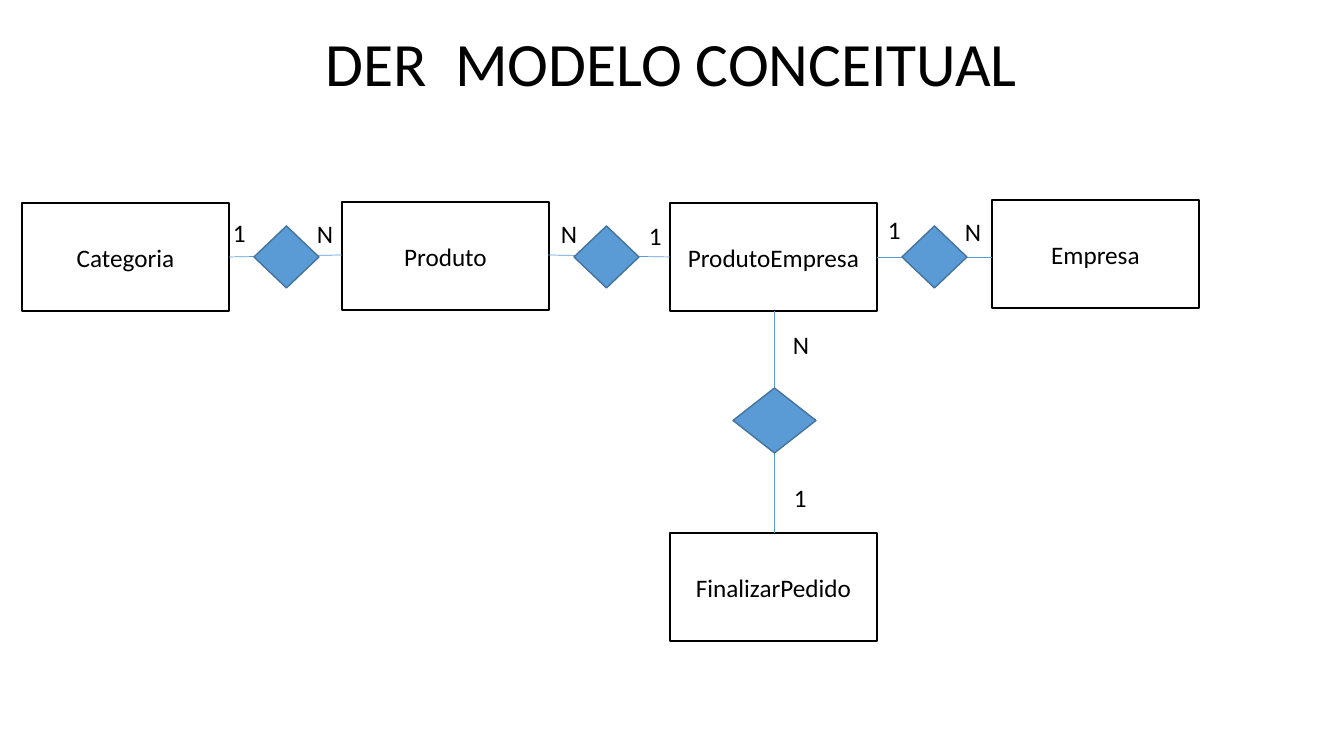
from pptx import Presentation
from pptx.dml.color import RGBColor as RGB
from pptx.enum.shapes import MSO_CONNECTOR as LINK, MSO_SHAPE as SHAPE
from pptx.enum.text import MSO_ANCHOR as ANCHOR, MSO_AUTO_SIZE as FIT, PP_ALIGN as ALIGN
from pptx.oxml.ns import qn
from pptx.util import Emu, Pt
from lxml.etree import SubElement

SCALE = 914400 / 100.8
COLORS = {"black": "000000", "white": "FFFFFF", "blue": "5B9BD5", "edge": "43739E"}
BOX_W, BOX_H = 207, 108
GEM_W, GEM_H = 65, 62
ROW_Y = 257
MID_X = 774

ENTITIES = [  # name, left, top
    ("Produto", 342, 202),
    ("Empresa", 992, 200),
    ("FinalizarPedido", 670, 533),
    ("Categoria", 22, 203),
    ("ProdutoEmpresa", 670, 203),
]
LINKS = [  # from x, y, to x, y
    (229, ROW_Y, 342, 255),
    (548, 255, 670, ROW_Y),
    (877, ROW_Y, 992, ROW_Y),
    (MID_X, 388, MID_X, 311),
    (MID_X, 453, MID_X, 533),
]
GEMS = [(x, 226, GEM_W, GEM_H) for x in (254, 574, 902)] + [(733, 388, 83, 65)]
COUNTS = [  # label, left, top
    ("1", 223, 212), ("N", 307, 213),
    ("N", 551, 213), ("1", 639, 215),
    ("1", 878, 209), ("N", 955, 211),
    ("N", 783, 324), ("1", 784, 477),
]


def px(*vals):
    return [Emu(round(v * SCALE)) for v in vals]


def color(name):
    return RGB.from_string(COLORS[name])


def write(frame, text, size=18, align=ALIGN.LEFT, anchor=ANCHOR.TOP, wrap=True):
    frame.word_wrap = wrap
    frame.vertical_anchor = anchor
    para = frame.paragraphs[0]
    para.alignment = align
    run = para.add_run()
    run.text = text
    run.font.name = "Calibri"
    run.font.size = Pt(size)
    run.font.color.rgb = color("black")


def add_form(slide, kind, area, fill, line):
    form = slide.shapes.add_shape(kind, *px(*area))
    form.shadow.inherit = False
    form.fill.solid()
    form.fill.fore_color.rgb = color(fill)
    form.line.color.rgb = color(line)
    form.line.width = Pt(1)
    return form


def add_entity(slide, name, left, top):
    area = (left, top, BOX_W, BOX_H)
    box = add_form(slide, SHAPE.RECTANGLE, area, "white", "black")
    write(box.text_frame, name, align=ALIGN.CENTER, anchor=ANCHOR.MIDDLE)


def add_link(slide, ends):
    link = slide.shapes.add_connector(LINK.STRAIGHT, *px(*ends))
    link.line.color.rgb = color("blue")
    link.line.width = Pt(0.5)
    SubElement(link._element.spPr, qn("a:effectLst"))


def add_label(slide, text, area, **style):
    frame = slide.shapes.add_textbox(*px(*area)).text_frame
    write(frame, text, **style)
    frame.auto_size = FIT.SHAPE_TO_FIT_TEXT


def main():
    deck = Presentation()
    deck.slide_width, deck.slide_height = px(1344, 756)
    slide = deck.slides.add_slide(deck.slide_layouts[6])

    # Entities and title
    for entity in ENTITIES:
        add_entity(slide, *entity)
    add_label(slide, "DER  MODELO CONCEITUAL", (316, 20, 766, 85), size=44)

    # Links, with the relationship diamonds over them
    for ends in LINKS:
        add_link(slide, ends)
    for area in GEMS:
        add_form(slide, SHAPE.DIAMOND, area, "blue", "edge")

    # Cardinalities
    for text, left, top in COUNTS:
        width = 36 if text == "N" else 33
        add_label(slide, text, (left, top, width, 40), wrap=False)

    deck.save("out.pptx")


main()
